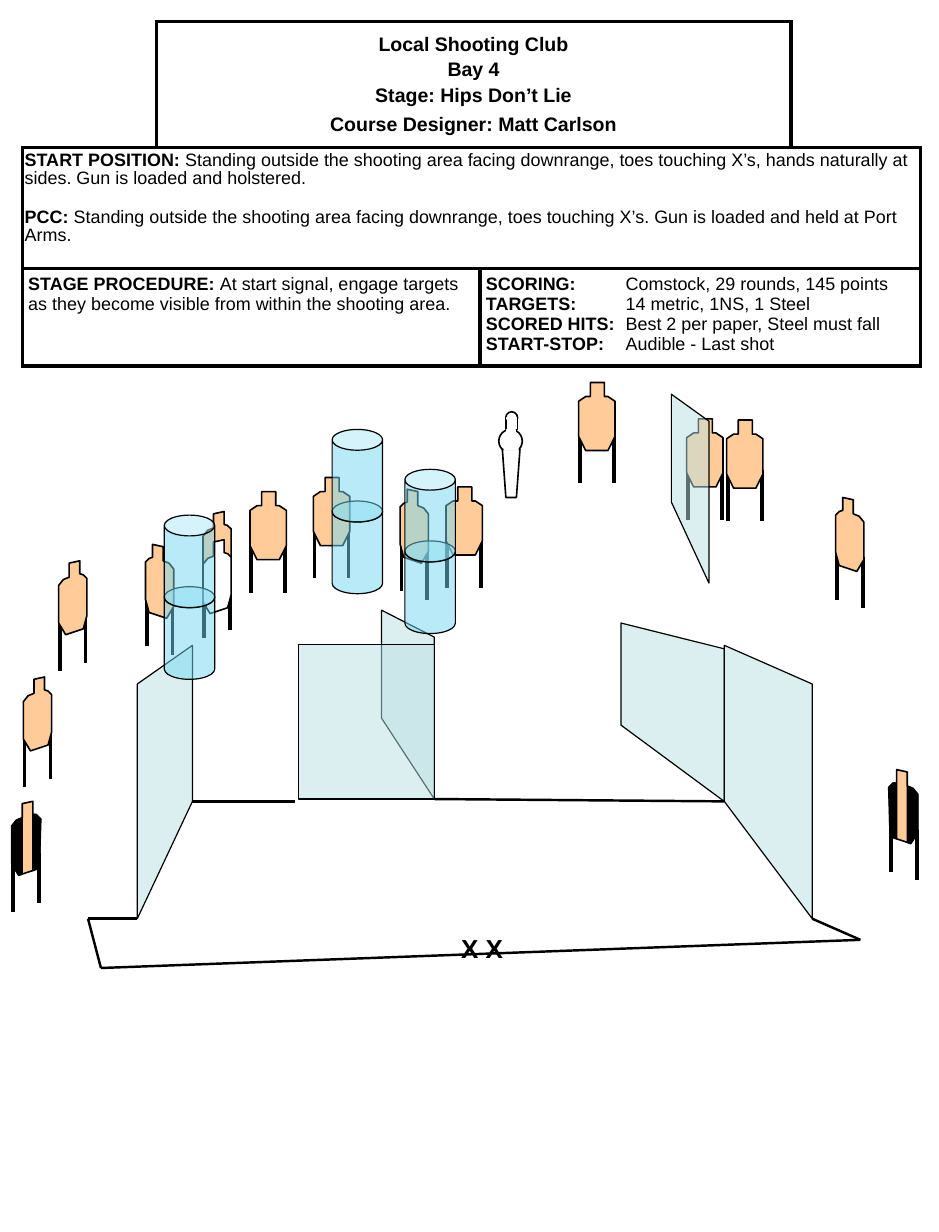
"""Builds the Hips Don't Lie shooting stage sheet."""
import pptx
import pptx.dml.color
import pptx.enum.shapes
import pptx.enum.text
import pptx.oxml
import pptx.oxml.ns
import pptx.util

SCALE = 9144
INK, TAN, WHITE, GLASS, DRUM = "000000", "FFCC99", "FFFFFF", "BBE0E3", "73D9F1"
KIND = pptx.enum.shapes.MSO_SHAPE
ALIGN = pptx.enum.text.PP_ALIGN

COLS, ROWS = [114, 276, 265, 110], [108, 103, 83]
SPANS = [(0, 1, 2), (1, 0, 3), (2, 0, 1), (2, 2, 3)]
OPEN = {(0, 0): "RB", (0, 3): "LB"}
CELLS = [
    {"at": (0, 1), "inset": (5, 5), "size": 12, "anchor": pptx.enum.text.MSO_ANCHOR.MIDDLE,
     "format": {"alignment": ALIGN.CENTER}, "gaps": [0, 2.4, 2.4, 4.2],
     "text": [("Local Shooting Club", ""), ("Bay 4", ""), ("Stage: Hips Don’t Lie", ""),
              ("Course Designer: Matt Carlson", "")]},
    {"at": (1, 0), "inset": (2, 4), "size": 11, "format": {"line_spacing": 0.9}, "gaps": [0, 13],
     "text": [("START POSITION:", " Standing outside the shooting area facing downrange, toes touching X’s, "
               "hands naturally at sides. Gun is loaded and holstered."),
              ("PCC:", " Standing outside the shooting area facing downrange, toes touching X’s. "
               "Gun is loaded and held at Port Arms.")]},
    {"at": (2, 0), "inset": (5, 5), "size": 11, "format": {}, "gaps": [0],
     "text": [("STAGE PROCEDURE: ", "At start signal, engage targets as they become visible "
               "from within the shooting area.")]},
    {"at": (2, 2), "inset": (5, 5), "size": 11, "format": {}, "gaps": [0] * 4, "tab": 119,
     "text": [("SCORING:", "\tComstock, 29 rounds, 145 points"), ("TARGETS:", "\t14 metric, 1NS, 1 Steel"),
              ("SCORED HITS:", "\tBest 2 per paper, Steel must fall"),
              ("START-STOP:", "\tAudible - Last shot")]},
]

FRONT = {"wide": 31, "legs": [(1, 43), (30, 43)],
         "edge": [(10, 0), (22, 0), (22, 12), (25, 12), (31, 16), (31, 46), (25, 58),
                  (6, 58), (0, 46), (0, 16), (6, 12), (10, 12)]}
SIDE = {"wide": 24, "legs": [(1, 51), (23, 44)],
        "edge": [(9, 2), (18, 0), (18, 11), (21, 12), (24, 15), (24, 47), (21, 58),
                 (6, 63), (0, 53), (0, 21), (4, 16), (9, 14)]}
BANDS = [[(0, 54), (6, 63), (9, 62), (9, 14), (6, 15), (0, 22)],
         [(18, 11), (21, 11), (25, 15), (24, 46), (21, 57), (18, 59)]]

SCENE = [
    ("target", SIDE, 173, 436, {"drop": 14, "cover": 24}),
    ("target", SIDE, 124, 464, {"flip": True}),
    ("target", FRONT, 380, 415, {}),
    ("wall", (325, 612), (370, 681), (370, 543), (325, 520)),
    ("target", SIDE, 341, 417, {"flip": True}),
    ("target", FRONT, 267, 407, {}),
    ("target", FRONT, 213, 419, {}),
    ("line", 692, 783, 733, 801),
    ("label", "X X", 383, 790, 58, 37),
    ("wall", (617, 683), (692, 783), (692, 583), (617, 550)),
    ("wall", (370, 681), (254, 681), (254, 549), (370, 549)),
    ("line", 733, 801, 86, 825),
    ("wall", (529, 618), (617, 683), (617, 553), (529, 531)),
    ("line", 617, 683, 370, 681),
    ("wall", (164, 683), (117, 783), (117, 583), (164, 550)),
    ("barrel", 140, 439),
    ("line", 117, 783, 75, 783),
    ("line", 86, 825, 75, 783),
    ("target", SIDE, 20, 577, {}),
    ("line", 251, 683, 164, 683),
    ("barrel", 283, 366),
    ("barrel", 345, 400),
    ("target", FRONT, 493, 326, {}),
    ("target", FRONT, 585, 357, {}),
    ("target", FRONT, 619, 358, {}),
    ("wall", (572, 428), (604, 497), (604, 359), (572, 336)),
    ("target", SIDE, 712, 424, {"flip": True}),
    ("target", SIDE, 758, 656, {"flip": True, "bands": BANDS}),
    ("target", SIDE, 10, 683, {"bands": BANDS}),
    ("target", SIDE, 50, 478, {}),
    ("popper",),
]
STEEL = [(428, 383), (443, 383), (440, 424), (431, 424)]
DISCS = [(431, 351, 10, 10), (425, 366, 20, 20)]
PATCHES = [((431, 356, 10, 10), INK), ((429, 382, 13, 2), None),
           ((432, 366, 7, 2), WHITE), ((432, 356, 8, 1), WHITE)]


def px(*nums):
    return [pptx.util.Emu(round(n * SCALE)) for n in nums]


def hue(code):
    return pptx.dml.color.RGBColor.from_string(code)


def node(tag, **attrs):
    item = pptx.oxml.parse_xml(f"<a:{tag} {pptx.oxml.ns.nsdecls('a')}/>")
    for key, val in attrs.items():
        item.set(key, str(val))
    return item


def paint(shape, fill, line=INK, width=1, alpha=None):
    shape.shadow.inherit = False
    shape.fill.solid()
    shape.fill.fore_color.rgb = hue(fill)
    if alpha:
        shape.fill._xPr.find(".//" + pptx.oxml.ns.qn("a:srgbClr")).append(node("alpha", val=alpha))
    if line:
        shape.line.color.rgb = hue(line)
        shape.line.width = pptx.util.Pt(width)
    else:
        shape.line.fill.background()
    return shape


def form(shapes, pts, *look):
    maker = shapes.build_freeform(*pts[0], scale=SCALE)
    maker.add_line_segments(pts[1:], close=True)
    return paint(maker.convert_to_shape(), *look)


def solid(shapes, kind, box, *look):
    return paint(shapes.add_shape(kind, *px(*box)), *look)


def line(shapes, x1, y1, x2, y2, width=1.5):
    link = shapes.add_connector(pptx.enum.shapes.MSO_CONNECTOR.STRAIGHT, *px(x1, y1, x2, y2))
    link.line.color.rgb = hue(INK)
    link.line.width = pptx.util.Pt(width)
    link._element.spPr.append(node("effectLst"))


def wall(shapes, *pts):
    form(shapes, pts, GLASS, INK, 0.75, 50000)


def barrel(shapes, x, y):
    group = shapes.add_group_shape().shapes
    for top in (y + 61, y):
        can = solid(group, KIND.CAN, (x, top, 43, 79), DRUM, INK, 0.75, 50000)
        can.adjustments[0] = 0.413


def target(shapes, kind, x, y, opts):
    group = shapes.add_group_shape().shapes

    def place(pts, down=0):
        return [(x + (kind["wide"] - a if opts.get("flip") else a), y + b + down) for a, b in pts]

    for a, b in place(kind["legs"], opts.get("drop", 0)):
        line(group, a, b, a, b + 43, 2.25)
    form(group, place(kind["edge"]), TAN)
    if "cover" in opts:
        form(group, place(kind["edge"], opts["cover"]), WHITE)
    for band in opts.get("bands", []):
        form(group, place(band), INK, INK, 0)


def popper(shapes):
    group = shapes.add_group_shape().shapes
    for box in DISCS:
        solid(group, KIND.OVAL, box, WHITE)
    form(group, STEEL, WHITE)
    for box, edge in PATCHES:
        solid(group, KIND.RECTANGLE, box, WHITE, edge)


def write(par, text, size, bold=True):
    run = par.add_run()
    run.text = text
    for key, val in {"name": "Arial", "size": pptx.util.Pt(size), "bold": bold}.items():
        setattr(run.font, key, val)
    run.font.color.rgb = hue(INK)


def label(shapes, text, *box):
    frame = shapes.add_textbox(*px(*box)).text_frame
    write(frame.paragraphs[0], text, 16)


def border(cell, sides):
    props = cell._tc.get_or_add_tcPr()
    for side in sides:
        edge = node("ln" + side, w=pptx.util.Pt(2.25))
        fill = node("solidFill")
        fill.append(node("srgbClr", val=INK))
        edge.append(fill)
        props.append(edge)


def fill_cell(cell, data):
    side, top = px(*data["inset"])
    for key, val in {"margin_left": side, "margin_right": side, "margin_top": top,
                     "margin_bottom": top, "vertical_anchor": data.get("anchor")}.items():
        setattr(cell, key, val)
    frame = cell.text_frame
    for i, ((head, body), gap) in enumerate(zip(data["text"], data["gaps"])):
        par = frame.add_paragraph() if i else frame.paragraphs[0]
        for key, val in {**data["format"], "space_before": pptx.util.Pt(gap)}.items():
            setattr(par, key, val)
        if "tab" in data:
            tabs = node("tabLst")
            tabs.append(node("tab", pos=px(data["tab"])[0], algn="l"))
            par._p.get_or_add_pPr().append(tabs)
        write(par, head, data["size"])
        if body:
            write(par, body, data["size"], False)


def brief(shapes):
    grid = shapes.add_table(len(ROWS), len(COLS), *px(19, 18, sum(COLS), sum(ROWS))).table
    grid.first_row = grid.horz_banding = False
    for col, wide in zip(grid.columns, px(*COLS)):
        col.width = wide
    for row, high in zip(grid.rows, px(*ROWS)):
        row.height = high
    for r in range(len(ROWS)):
        for c in range(len(COLS)):
            cell = grid.cell(r, c)
            border(cell, OPEN.get((r, c), "LRTB"))
            cell.fill.solid()
            cell.fill.fore_color.rgb = hue(WHITE)
    for r, first, last in SPANS:
        grid.cell(r, first).merge(grid.cell(r, last))
    for data in CELLS:
        fill_cell(grid.cell(*data["at"]), data)


def main():
    deck = pptx.Presentation()
    deck.slide_width, deck.slide_height = px(800, 1050)
    shapes = deck.slides.add_slide(deck.slide_layouts[6]).shapes
    brief(shapes)
    draw = {"target": target, "wall": wall, "line": line, "label": label,
            "barrel": barrel, "popper": popper}
    for kind, *args in SCENE:
        draw[kind](shapes, *args)
    deck.save("out.pptx")


if __name__ == "__main__":
    main()
